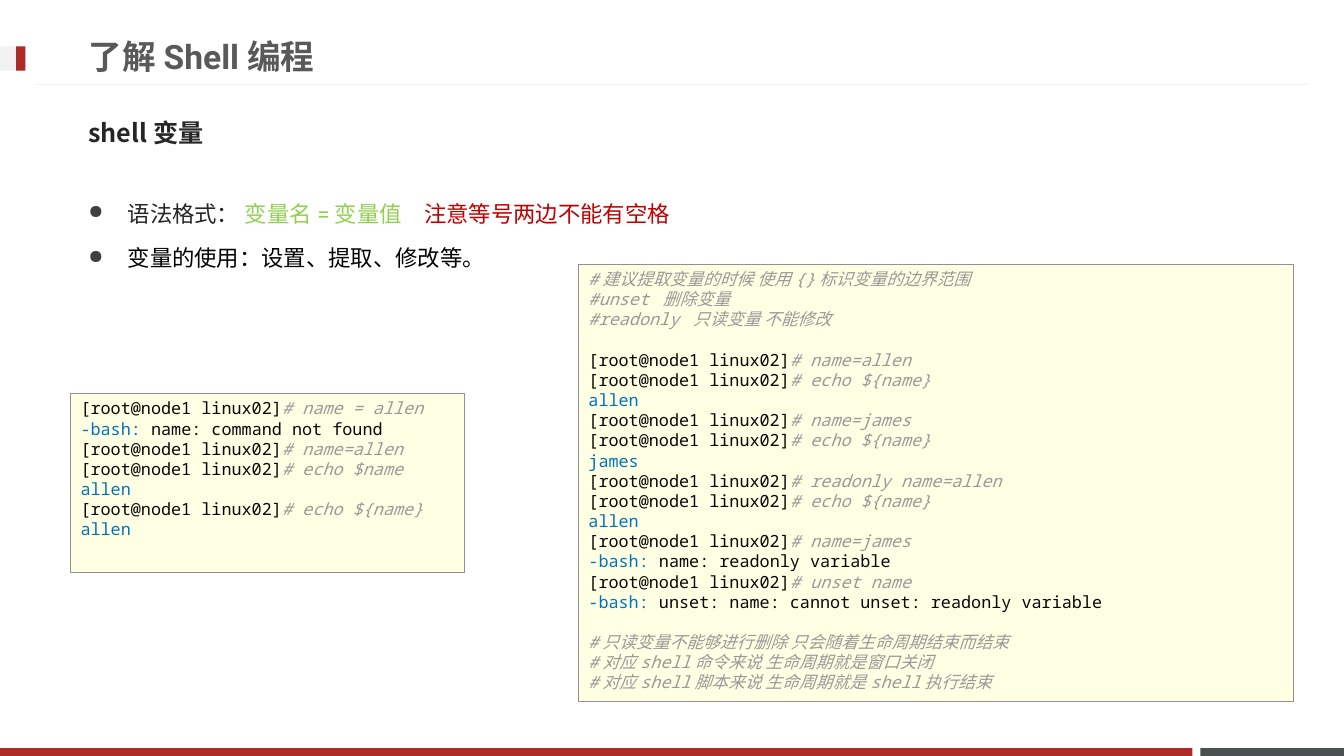
from lxml import etree
from pptx import Presentation
from pptx.dml.color import RGBColor
from pptx.enum.shapes import MSO_CONNECTOR, MSO_SHAPE
from pptx.enum.text import MSO_ANCHOR, PP_ALIGN
from pptx.oxml.ns import qn
from pptx.util import Cm, Pt

RECTANGLE = MSO_SHAPE.RECTANGLE
STRAIGHT = MSO_CONNECTOR.STRAIGHT
TOP, MIDDLE = MSO_ANCHOR.TOP, MSO_ANCHOR.MIDDLE
LEFT = PP_ALIGN.LEFT

# Content
TITLE = "了解Shell编程"
SUBTITLE = "shell变量"
BULLETS = [
    [("语法格式： ", "body"), ("变量名=变量值　", "syntax"), ("注意等号两边不能有空格", "warning")],
    [("变量的使用：设置、提取、修改等。", "plain")],
]
PROMPT = "[root@node1 linux02]"
ERROR = "-bash: "
# A tuple is a comment whose pieces alternate between code and Chinese;
# a string starting with "#" is a command typed after the prompt.
BASIC_SESSION = [
    "# name = allen",
    "-bash: name: command not found",
    "# name=allen",
    "# echo $name",
    "allen",
    "# echo ${name}",
    "allen",
]
READONLY_SESSION = [
    ("#", "建议提取变量的时候 使用", "{}", "标识变量的边界范围"),
    ("#unset ", "删除变量"),
    ("#readonly ", "只读变量 不能修改"),
    "",
    "# name=allen",
    "# echo ${name}",
    "allen",
    "# name=james",
    "# echo ${name}",
    "james",
    "# readonly name=allen",
    "# echo ${name}",
    "allen",
    "# name=james",
    "-bash: name: readonly variable",
    "# unset name",
    "-bash: unset: name: cannot unset: readonly variable",
    "",
    ("#", "只读变量不能够进行删除 只会随着生命周期结束而结束"),
    ("#", "对应", "shell", "命令来说 生命周期就是窗口关闭"),
    ("#", "对应", "shell", "脚本来说 生命周期就是", "shell", "执行结束"),
]

# Theme: style name -> font, size, colour, bold, italic
THEME = {
    "styles": {
        "title": ("Roboto", 24, "595959", True, False),
        "subtitle": ("Noto Sans CJK JP", 18, "262626", True, False),
        "body": ("Roboto", 16, "262626", False, False),
        "syntax": ("Roboto", 16, "92D050", False, False),
        "warning": ("Roboto", 16, "C00000", False, False),
        "plain": ("Roboto", 16, "000000", False, False),
        "code": ("Noto Sans Mono", 12, "080808", False, False),
        "output": ("Noto Sans Mono", 12, "0073BF", False, False),
        "comment": ("Noto Sans Mono", 12, "999999", False, True),
        "chinese": ("Noto Sans CJK SC", 12, "999999", False, True),
    },
    "red": "AD2B26",
    "slate": "49504F",
    "pale": "F2F2F2",
    "code_fill": "FFFFE4",
    "code_line": "919191",
    "bullet": "404040",
    "code_pitch": 14.4,
}

# Places in centimetres: left, top, width, height
BARS = [
    ((30.25, 18.85, 3.62, 0.2), "slate"),
    ((0, 18.85, 30.05, 0.2), "red"),
    ((0, 1.17, 0.64, 0.61), "pale"),
    ((0.41, 1.17, 0.23, 0.61), "red"),
]
TITLE_AREA = (1.98, 0.69, 24.36, 1.45)
SUBTITLE_AREA = (1.98, 2.62, 29.87, 1.45)
BULLET_AREA = (1.98, 4.57, 29.87, 11.71)
CODE_PANELS = [
    ((14.58, 6.65, 18.01, 11.02), READONLY_SESSION),
    ((1.78, 9.91, 9.93, 4.52), BASIC_SESSION),
]


def colour(name):
    return RGBColor.from_string(THEME.get(name, name))


def add_span(para, text, style):
    font_name, size, rgb, bold, italic = THEME["styles"][style]
    span = para.add_run()
    span.text = text
    font = span.font
    font.name, font.size, font.bold, font.italic = font_name, Pt(size), bold, italic
    font.color.rgb = colour(rgb)
    east_asian = etree.SubElement(font._element, qn("a:ea"))
    east_asian.set("typeface", font_name)


def add_bar(page, area, fill):
    bar = page.shapes.add_shape(RECTANGLE, *map(Cm, area))
    bar.shadow.inherit = False
    bar.fill.solid()
    bar.fill.fore_color.rgb = colour(fill)
    bar.line.fill.background()
    return bar


def add_text(page, area, anchor):
    box = page.shapes.add_textbox(*map(Cm, area))
    box.text_frame.word_wrap = True
    box.text_frame.vertical_anchor = anchor
    return box.text_frame


def add_bullet(para):
    properties = para._p.get_or_add_pPr()
    properties.set("marL", str(Cm(0.99)))
    properties.set("indent", str(-Cm(0.99)))
    tint = etree.SubElement(properties, qn("a:buClr"))
    etree.SubElement(tint, qn("a:srgbClr")).set("val", THEME["bullet"])
    etree.SubElement(properties, qn("a:buSzPct")).set("val", "85000")
    etree.SubElement(properties, qn("a:buChar")).set("char", "●")


def code_spans(line):
    if isinstance(line, tuple):
        return [(piece, "chinese" if i % 2 else "comment") for i, piece in enumerate(line)]
    if line.startswith("#"):
        return [(PROMPT, "code"), (line, "comment")]
    if line.startswith(ERROR):
        return [(ERROR, "output"), (line[len(ERROR):], "code")]
    return [(line, "output")] if line else []


def add_code_panel(page, area, lines):
    panel = add_bar(page, area, "code_fill")
    panel.line.color.rgb = colour("code_line")
    panel.line.width = Pt(0.25)
    frame = panel.text_frame
    frame.word_wrap = True
    frame.vertical_anchor = TOP
    para = frame.paragraphs[0]
    para.alignment = LEFT
    para.line_spacing = Pt(THEME["code_pitch"])
    for number, line in enumerate(lines):
        if number:
            para.add_line_break()
        for text, style in code_spans(line):
            add_span(para, text, style)


def main():
    deck = Presentation()
    deck.slide_width, deck.slide_height = Cm(33.87), Cm(19.05)
    page = deck.slides.add_slide(deck.slide_layouts[6])

    # Frame of the page
    for area, fill in BARS:
        add_bar(page, area, fill)
    rule = page.shapes.add_connector(STRAIGHT, Cm(32.97), Cm(2.13), Cm(0.89), Cm(2.13))
    rule.line.color.rgb = colour("pale")
    rule.line.width = Pt(0.75)
    etree.SubElement(rule._element.spPr, qn("a:effectLst"))

    # Headings
    for area, text, style in ((TITLE_AREA, TITLE, "title"), (SUBTITLE_AREA, SUBTITLE, "subtitle")):
        add_span(add_text(page, area, MIDDLE).paragraphs[0], text, style)

    # Bullets
    frame = add_text(page, BULLET_AREA, TOP)
    for number, spans in enumerate(BULLETS):
        para = frame.add_paragraph() if number else frame.paragraphs[0]
        para.line_spacing = 1.5
        para.space_before = Pt(3.2)
        add_bullet(para)
        for text, style in spans:
            add_span(para, text, style)

    # Terminal sessions
    for area, lines in CODE_PANELS:
        add_code_panel(page, area, lines)

    deck.save("out.pptx")


if __name__ == "__main__":
    main()
